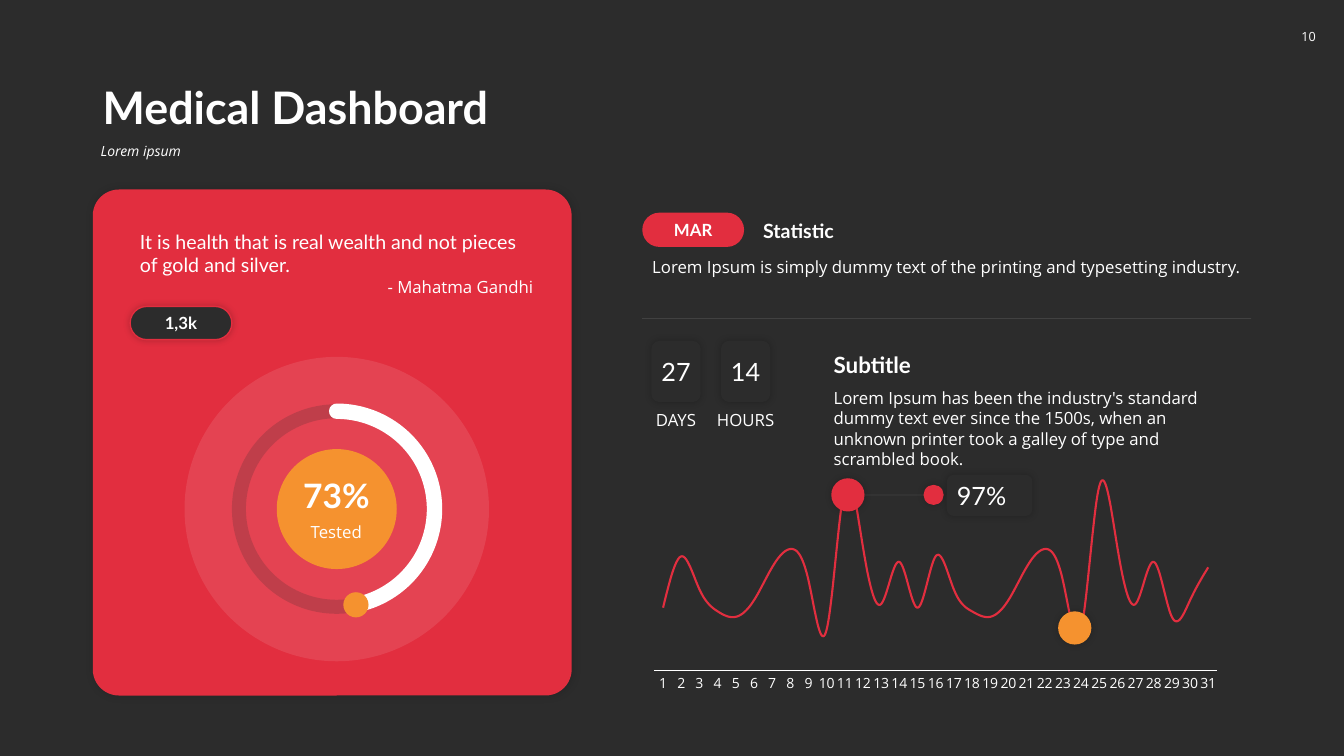
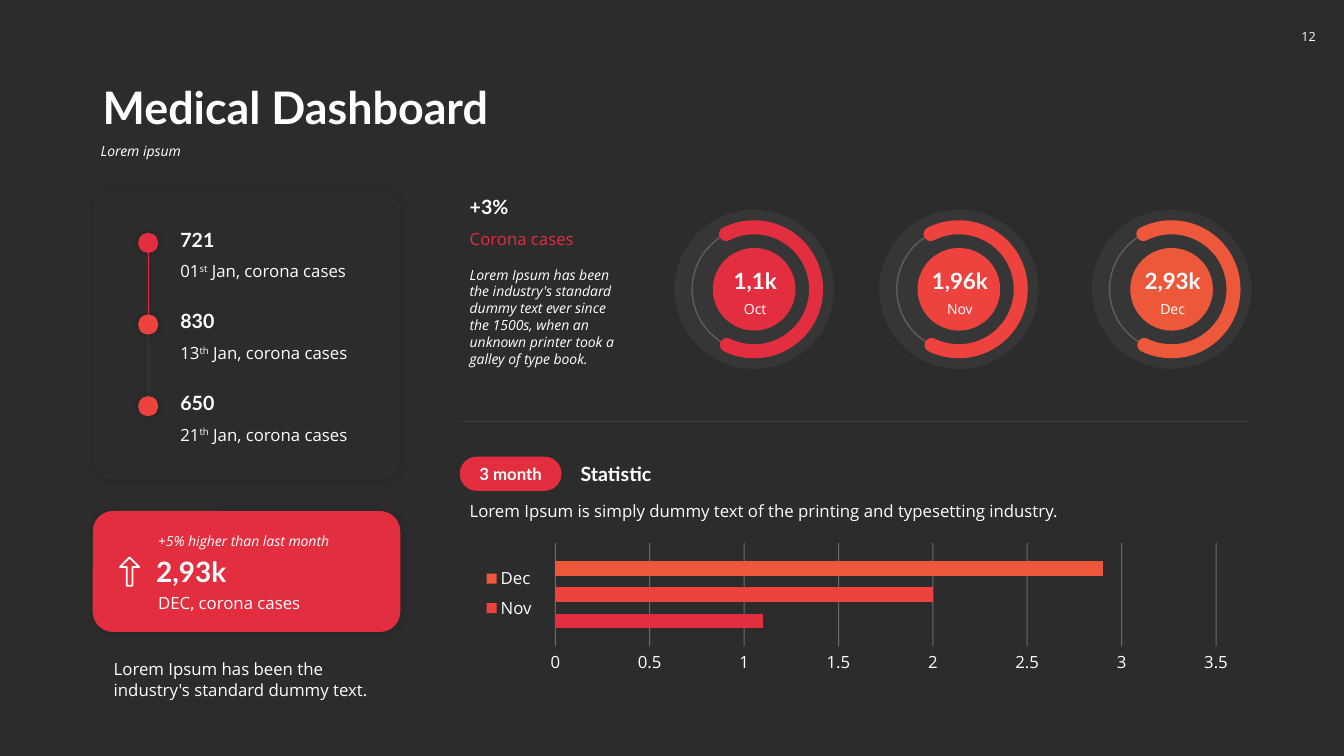
from dataclasses import dataclass, replace
from typing import NamedTuple, Optional, Sequence

from lxml import etree
from pptx import Presentation
from pptx import util as u
from pptx.chart import data as chart_data
from pptx.dml.color import RGBColor
from pptx.enum import chart as chart_enum
from pptx.enum import shapes, text
from pptx.oxml import ns

Inches, Pt = u.Inches, u.Pt
KIND = shapes.MSO_SHAPE
ALIGN = text.PP_ALIGN
ANCHOR = text.MSO_ANCHOR


@dataclass(frozen=True)
class Theme:
    dark: str = "2C2C2C"
    white: str = "FFFFFF"
    red: str = "E22E3F"
    coral: str = "EE423E"
    rust: str = "EE583A"
    orange: str = "F5922F"
    heading_font: str = "Lato"
    body_font: str = "Open Sans"
    title: int = 32
    hero: int = 24
    figure: int = 20
    counter: int = 18
    subtitle: int = 16
    heading: int = 14
    body: int = 12
    small: int = 10
    page: int = 9


THEME = Theme()


class Box(NamedTuple):
    left: float
    top: float
    width: float
    height: float

    def lengths(self) -> list:
        return [Inches(value) for value in self]


@dataclass(frozen=True)
class Run:
    text: str
    size: int = THEME.body
    font: str = THEME.body_font
    color: str = THEME.white
    bold: bool = False
    italic: bool = False
    raised: bool = False


class Shadow(NamedTuple):
    opacity: int
    blur: float
    distance: float


class Line(NamedTuple):
    color: str
    width: float
    opacity: int = 100
    round_cap: bool = False


class Case(NamedTuple):
    count: str
    day: str
    suffix: str
    color: str


class Month(NamedTuple):
    name: str
    label: str
    value: float
    color: str
    left: float


PANEL_SHADOW = Shadow(15, 6, 1)
GLOW = Shadow(20, 5, 0)
FAINT = Line(THEME.white, 0.5, 10)
INSETS = (0.1, 0.05, 0.1, 0.05)
CASES = [
    Case("721", "01", "st", THEME.red),
    Case("830", "13", "th", THEME.coral),
    Case("650", "21", "th", THEME.coral),
]
MONTHS = [
    Month("Oct", "1,1k", 1.1, THEME.red, 6.69),
    Month("Nov", "1,96k", 2.0, THEME.coral, 8.72),
    Month("Dec", "2,93k", 2.9, THEME.rust, 10.83),
]
PULSE = [34, 62, 44, 32, 29, 38, 56, 66, 49, 22, 100, 67, 36, 59, 34, 62,
         44, 32, 29, 38, 56, 66, 49, 22, 100, 67, 36, 59, 29, 38, 56]


def head(content: str, size: int = THEME.heading, bold: bool = True) -> Run:
    return Run(content, size, THEME.heading_font, bold=bold)


def note(content: str) -> Run:
    return Run(content, THEME.small, italic=True)


def add_child(parent, tag: str, **attributes):
    child = etree.SubElement(parent, ns.qn(tag))
    for name, value in attributes.items():
        child.set(name, str(value))
    return child


def set_opacity(element, percent: int) -> None:
    if percent < 100:
        for color in element.iter(ns.qn("a:srgbClr")):
            add_child(color, "a:alpha", val=percent * 1000)


def set_line(line_format, line: Line) -> None:
    line_format.color.rgb = RGBColor.from_string(line.color)
    line_format.width = Pt(line.width)
    element = line_format._get_or_add_ln()
    set_opacity(element, line.opacity)
    if line.round_cap:
        element.set("cap", "rnd")


def write(shape, paragraphs: Sequence[Sequence[Run]], aligns: Sequence = (ALIGN.LEFT,),
          anchor=ANCHOR.TOP, insets: Sequence[float] = INSETS, wrap: bool = True,
          spacing: float = 1.0) -> None:
    frame = shape.text_frame
    frame.word_wrap = wrap
    frame.vertical_anchor = anchor
    frame.margin_left, frame.margin_top, frame.margin_right, frame.margin_bottom = map(Inches, insets)
    for index, runs in enumerate(paragraphs):
        paragraph = frame.add_paragraph() if index else frame.paragraphs[0]
        paragraph.alignment = aligns[index % len(aligns)]
        paragraph.line_spacing = spacing
        for item in runs:
            run = paragraph.add_run()
            run.text = item.text
            run.font.size = Pt(item.size)
            run.font.name = item.font
            run.font.bold = item.bold
            run.font.italic = item.italic
            run.font.color.rgb = RGBColor.from_string(item.color)
            if item.raised:
                run._r.get_or_add_rPr().set("baseline", "30000")


def add_text(slide, box: Box, *runs: Run, align=ALIGN.LEFT, anchor=ANCHOR.TOP,
             spacing: float = 1.0) -> None:
    write(slide.shapes.add_textbox(*box.lengths()), [runs], (align,), anchor, spacing=spacing)


def add_shape(slide, kind, box: Box, fill: Optional[str] = None, opacity: int = 100,
              line: Optional[Line] = None, shadow: Optional[Shadow] = None,
              adjustments: Sequence[float] = ()):
    shape = slide.shapes.add_shape(kind, *box.lengths())
    for index, value in enumerate(adjustments):
        shape.adjustments[index] = value
    if fill:
        shape.fill.solid()
        shape.fill.fore_color.rgb = RGBColor.from_string(fill)
        set_opacity(shape.element.spPr, opacity)
    else:
        shape.fill.background()
    if line:
        set_line(shape.line, line)
    else:
        shape.line.fill.background()
    shape.shadow.inherit = False
    if shadow:
        effects = shape.element.spPr.find(ns.qn("a:effectLst"))
        outer = add_child(effects, "a:outerShdw", blurRad=Pt(shadow.blur),
                          dist=Pt(shadow.distance), dir=45 * 60000, algn="ctr", rotWithShape=0)
        add_child(add_child(outer, "a:srgbClr", val="000000"), "a:alpha", val=shadow.opacity * 1000)
    return shape


def add_circle(slide, center: tuple, diameter: float, **style):
    left, top = (value - diameter / 2 for value in center)
    return add_shape(slide, KIND.OVAL, Box(left, top, diameter, diameter), **style)


def add_arc(slide, center: tuple, diameter: float, start: float, end: float, line: Line) -> None:
    left, top = (value - diameter / 2 for value in center)
    add_shape(slide, KIND.ARC, Box(left, top, diameter, diameter), line=line,
              adjustments=(start * 0.6, end * 0.6))


def add_line(slide, start: tuple, end: tuple, line: Line = FAINT) -> None:
    points = [Inches(value) for value in (*start, *end)]
    connector = slide.shapes.add_connector(shapes.MSO_CONNECTOR.STRAIGHT, *points)
    set_line(connector.line, line)
    add_child(connector.element.spPr, "a:effectLst")


def add_panel(slide, box: Box, fill: str, corner: float = 0.2) -> None:
    add_shape(slide, KIND.ROUNDED_RECTANGLE, box, fill, shadow=PANEL_SHADOW,
              adjustments=(corner / min(box.width, box.height),))


def add_badge(slide, box: Box, run: Run, fill: str = THEME.dark, radius: float = 0.17,
              align=ALIGN.CENTER, side: float = 0, wrap: bool = True,
              shadow: Optional[Shadow] = GLOW, line: Optional[Line] = None) -> None:
    shape = add_shape(slide, KIND.ROUNDED_RECTANGLE, box, fill, line=line, shadow=shadow,
                      adjustments=(radius,))
    write(shape, [[run]], (align,), ANCHOR.MIDDLE, (side, 0, side, 0), wrap)


def add_statistic(slide, left: float, top: float, label: str) -> None:
    add_badge(slide, Box(left, top, 1.01, 0.34), head(label, THEME.body), THEME.red, 0.5, shadow=None)
    add_text(slide, Box(left + 1.1, top, 4.94, 0.34), head("Statistic"), anchor=ANCHOR.BOTTOM)
    add_text(slide, Box(left, top + 0.39, 6.05, 0.3),
             Run("Lorem Ipsum\u00a0is simply dummy text of the printing and typesetting industry."))


def add_dashboard(presentation, page: str):
    slide = presentation.slides.add_slide(presentation.slide_layouts[6])
    add_text(slide, Box(0.92, 0.58, 11.5, 0.8), head("Medical Dashboard", THEME.title),
             anchor=ANCHOR.BOTTOM, spacing=0.9)
    add_text(slide, Box(0.9, 1.38, 11.52, 0.36), note("Lorem ipsum"), spacing=0.9)
    add_badge(slide, Box(12.8, 0.19, 0.36, 0.35), Run(page, THEME.page), radius=0.27, wrap=False,
              shadow=None)
    return slide


def set_font(font, size: int) -> None:
    font.name = THEME.body_font
    font.size = Pt(size)
    font.color.rgb = RGBColor.from_string(THEME.white)


def set_layout(element, box: Box, inner: bool = False) -> None:
    for old in element.findall(ns.qn("c:layout")):
        element.remove(old)
    layout = etree.Element(ns.qn("c:layout"))
    manual = add_child(layout, "c:manualLayout")
    if inner:
        add_child(manual, "c:layoutTarget", val="inner")
    for name in "xy":
        add_child(manual, f"c:{name}Mode", val="edge")
    for name, value in zip("xywh", box):
        add_child(manual, f"c:{name}", val=value)
    element.insert(0 if inner else 1, layout)


def add_chart(slide, kind, box: Box, categories: Sequence[str], series: Sequence[tuple], plot: Box):
    source = chart_data.CategoryChartData()
    source.categories = categories
    for name, values in series:
        source.add_series(name, values)
    chart = slide.shapes.add_chart(kind, *box.lengths(), source).chart
    set_font(chart.font, THEME.small)
    chart.has_title = False
    chart.has_legend = False
    chart.plots[0].vary_by_categories = False
    chart.value_axis.minimum_scale = 0
    for axis in (chart.category_axis, chart.value_axis):
        axis.major_tick_mark = chart_enum.XL_TICK_MARK.NONE
    set_layout(chart.element.chart.plotArea, plot, inner=True)
    return chart


def add_pulse_chart(slide) -> None:
    days = [str(day + 1) for day in range(len(PULSE))]
    chart = add_chart(slide, chart_enum.XL_CHART_TYPE.LINE_STACKED, Box(6.37, 4.45, 5.82, 2.47),
                      days, [("Series 1", PULSE)], Box(0.02, 0.05, 0.96, 0.84))
    chart.value_axis.maximum_scale = 114
    chart.value_axis.has_major_gridlines = False
    chart.value_axis.visible = False
    axis = chart.category_axis
    set_font(axis.tick_labels.font, THEME.small)
    set_line(axis.format.line, Line(THEME.white, 0.75))
    axis._element.find(ns.qn("c:txPr")).find(ns.qn("a:bodyPr")).set("rot", "0")
    skip = etree.Element(ns.qn("c:tickLblSkip"), val="1")
    axis._element.find(ns.qn("c:noMultiLvlLbl")).addprevious(skip)
    series = chart.plots[0].series[0]
    series.smooth = True
    series.marker.style = chart_enum.XL_MARKER_STYLE.NONE
    set_line(series.format.line, Line(THEME.red, 1.5))


def add_month_chart(slide) -> None:
    chart = add_chart(slide, chart_enum.XL_CHART_TYPE.BAR_CLUSTERED, Box(4.67, 5.36, 7.62, 1.35),
                      ["1"], [(month.name, [month.value]) for month in MONTHS],
                      Box(0.11, 0.02, 0.86, 0.76))
    chart.category_axis.visible = False
    axis = chart.value_axis
    axis.maximum_scale, axis.major_unit = 3.5, 0.5
    axis.format.line.fill.background()
    set_font(axis.tick_labels.font, THEME.body)
    set_line(axis.major_gridlines.format.line, Line(THEME.white, 0.75, 30))
    plot = chart.plots[0]
    plot.gap_width, plot.overlap = 250, -80
    for series, month in zip(plot.series, MONTHS):
        series.format.fill.solid()
        series.format.fill.fore_color.rgb = RGBColor.from_string(month.color)
    chart.has_legend = True
    legend = chart.legend
    legend.position = chart_enum.XL_LEGEND_POSITION.LEFT
    legend.include_in_layout = False
    set_font(legend.font, THEME.body)
    set_layout(legend._element, Box(0.01, 0.15, 0.08, 0.48))


def build_health_slide(presentation) -> None:
    slide = add_dashboard(presentation, "10")
    add_panel(slide, Box(0.92, 1.88, 4.75, 5.02), THEME.red, 0.26)
    quote = slide.shapes.add_textbox(*Box(1.29, 2.23, 4.1, 0.77).lengths())
    write(quote, [[head("It is health that is real wealth and not pieces of gold and silver.", bold=False)],
                  [Run("- Mahatma Gandhi")]], (ALIGN.LEFT, ALIGN.RIGHT))
    add_badge(slide, Box(1.29, 3.04, 1.01, 0.33), head("1,3k", THEME.body), radius=0.5,
              line=Line(THEME.red, 1))
    center = (3.34, 5.05)
    add_circle(slide, center, 3.02, fill=THEME.white, opacity=10)
    add_circle(slide, center, 1.19, fill=THEME.orange)
    add_circle(slide, center, 1.94, line=Line(THEME.dark, 10, 20))
    add_arc(slide, center, 1.94, 270, 75, Line(THEME.white, 11, round_cap=True))
    add_circle(slide, (3.53, 6), 0.25, fill=THEME.orange)
    add_text(slide, Box(2.74, 4.66, 1.19, 0.5), head("73%", THEME.hero), align=ALIGN.CENTER,
             anchor=ANCHOR.BOTTOM)
    add_text(slide, Box(2.74, 5.13, 1.19, 0.3), Run("Tested"), align=ALIGN.CENTER)
    add_statistic(slide, 6.37, 2.11, "MAR")
    add_line(slide, (6.37, 3.16), (12.41, 3.16))
    add_pulse_chart(slide)
    for left, count, unit in ((6.46, "27", "DAYS"), (7.15, "14", "HOURS")):
        add_badge(slide, Box(left, 3.38, 0.49, 0.61), head(count, THEME.counter, False))
        add_text(slide, Box(left - 0.16, 4.02, 0.81, 0.3), Run(unit), align=ALIGN.CENTER)
    add_text(slide, Box(8.17, 3.43, 4.26, 0.37), head("Subtitle", THEME.subtitle), anchor=ANCHOR.BOTTOM)
    add_text(slide, Box(8.17, 3.8, 4.26, 0.71),
             Run("Lorem Ipsum has been the industry's standard dummy text ever since the 1500s, "
                 "when an unknown printer took a galley of type and scrambled book.\u00a0"))
    add_line(slide, (8.58, 4.91), (9.19, 4.91))
    for dot, diameter, color in (((8.41, 4.91), 0.33, THEME.red), ((10.66, 6.23), 0.33, THEME.orange),
                                 ((9.26, 4.91), 0.2, THEME.red)):
        add_circle(slide, dot, diameter, fill=color, shadow=GLOW)
    add_badge(slide, Box(9.39, 4.71, 0.85, 0.41), head("97%", THEME.counter, False),
              align=ALIGN.LEFT, side=0.08)


def build_cases_slide(presentation) -> None:
    slide = add_dashboard(presentation, "12")
    add_panel(slide, Box(0.92, 5.07, 3.05, 1.2), THEME.red)
    add_panel(slide, Box(0.92, 1.88, 3.05, 2.88), THEME.dark)
    for index, case in enumerate(CASES):
        top = 2.2 + 0.81 * index
        add_text(slide, Box(1.69, top, 2.06, 0.34), head(case.count), anchor=ANCHOR.BOTTOM)
        add_text(slide, Box(1.69, top + 0.34, 2.06, 0.3), Run(case.day),
                 replace(Run(case.suffix), raised=True), Run(" Jan, corona cases"))
        if index < len(CASES) - 1:
            add_line(slide, (1.47, top + 0.31), (1.47, top + 0.93), FAINT if index else Line(THEME.red, 0.5))
        add_circle(slide, (1.47, top + 0.21), 0.2, fill=case.color, shadow=GLOW)
    add_shape(slide, KIND.UP_ARROW, Box(1.19, 5.53, 0.19, 0.28), line=Line(THEME.white, 1.25),
              adjustments=(0.3, 0.5))
    add_text(slide, Box(1.45, 5.45, 2.28, 0.44), head("2,93k", THEME.figure), anchor=ANCHOR.MIDDLE)
    add_text(slide, Box(1.47, 5.83, 2.28, 0.3), Run("DEC, corona cases"))
    add_text(slide, Box(1.47, 5.23, 2.28, 0.27), note("+5% higher than last month"))
    add_text(slide, Box(1.03, 6.49, 2.94, 0.5),
             Run("Lorem Ipsum has been the industry's standard dummy text.\u00a0"))
    add_text(slide, Box(4.56, 1.88, 1.65, 0.34), head("+3%"), anchor=ANCHOR.BOTTOM)
    add_text(slide, Box(4.56, 2.22, 1.65, 0.3), Run("Corona cases", color=THEME.red))
    add_text(slide, Box(4.56, 2.59, 1.65, 1.11),
             note("Lorem Ipsum has been the industry's standard dummy text ever since the 1500s, "
                  "when an unknown printer took a galley of type book.\u00a0"))
    for month in MONTHS:
        center = (month.left + 0.79, 2.87)
        add_circle(slide, center, 1.58, fill=THEME.white, opacity=5)
        add_circle(slide, center, 1.23, line=Line(THEME.white, 1, 20))
        add_arc(slide, center, 1.23, 243, 116, Line(month.color, 10, round_cap=True))
        add_circle(slide, center, 0.82, fill=month.color)
        add_text(slide, Box(month.left + 0.39, 2.6, 0.82, 0.37), head(month.label, THEME.subtitle),
                 align=ALIGN.CENTER, anchor=ANCHOR.BOTTOM)
        add_text(slide, Box(month.left + 0.39, 2.93, 0.82, 0.27), Run(month.name, THEME.small),
                 align=ALIGN.CENTER)
    add_line(slide, (4.56, 4.18), (12.41, 4.18))
    add_statistic(slide, 4.56, 4.53, "3 month")
    add_month_chart(slide)


def main() -> None:
    presentation = Presentation()
    presentation.slide_width, presentation.slide_height = Inches(13.33), Inches(7.5)
    background = presentation.slide_master.background.fill
    background.solid()
    background.fore_color.rgb = RGBColor.from_string(THEME.dark)
    build_health_slide(presentation)
    build_cases_slide(presentation)
    presentation.save("out.pptx")


if __name__ == "__main__":
    main()
